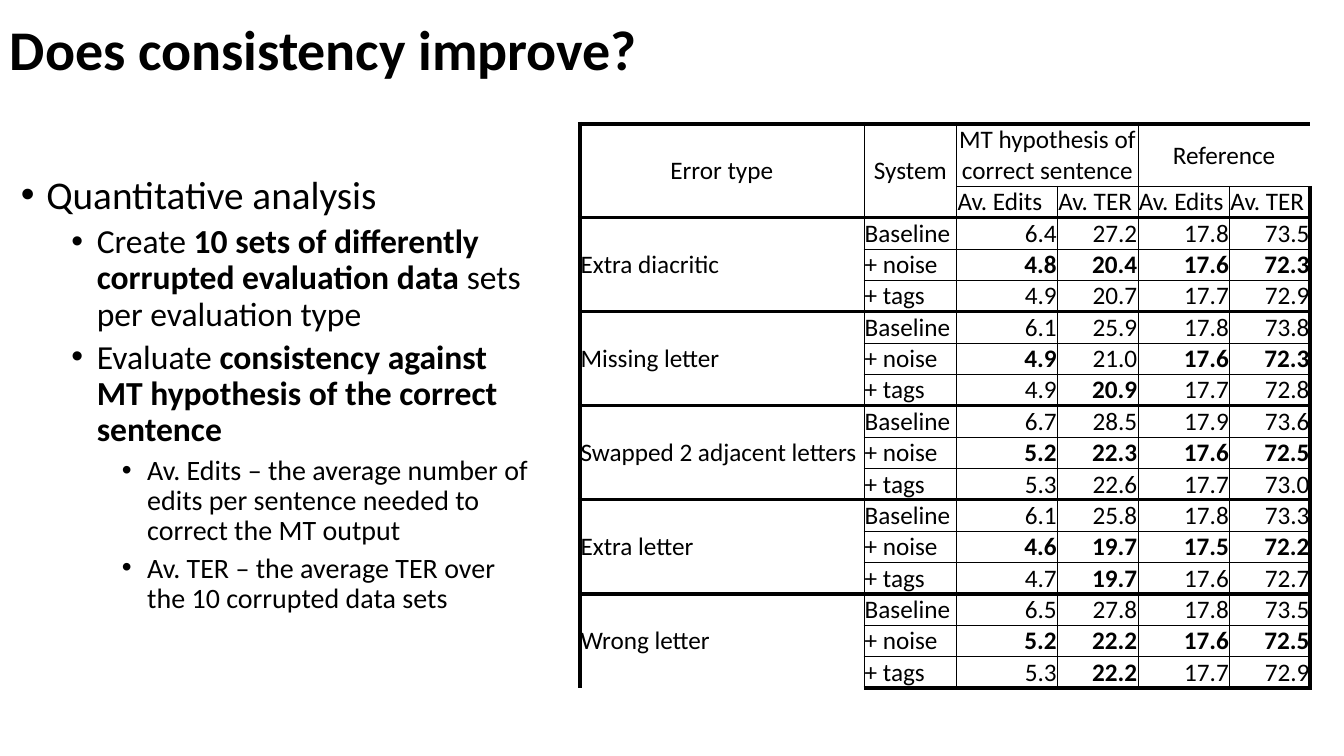
from typing import NamedTuple

from lxml import etree
from pptx import Presentation
from pptx.dml.color import RGBColor
from pptx.enum.text import MSO_ANCHOR, PP_ALIGN
from pptx.oxml.ns import qn
from pptx.util import Cm, Pt

BLACK = RGBColor(0x00, 0x00, 0x00)
FONT = "Calibri"
LEFT, CENTER, RIGHT = PP_ALIGN.LEFT, PP_ALIGN.CENTER, PP_ALIGN.RIGHT
TOP, MIDDLE, BOTTOM = MSO_ANCHOR.TOP, MSO_ANCHOR.MIDDLE, MSO_ANCHOR.BOTTOM
THIN, THICK = Pt(0.5), Pt(3)


class Span(NamedTuple):
    text: str
    bold: bool = False


class Bullet(NamedTuple):
    level: int
    spans: list[Span]


class BulletStyle(NamedTuple):
    size: int
    before: int
    margin: Cm


class Region(NamedTuple):
    """A table cell, possibly merged over several rows or columns."""
    row: int
    column: int
    span: Span
    align: PP_ALIGN = LEFT
    anchor: MSO_ANCHOR = MIDDLE
    rows: int = 1
    columns: int = 1


class Result(NamedTuple):
    system: str
    figures: list[str]
    best: tuple[int, ...] = ()


class ErrorType(NamedTuple):
    name: str
    results: list[Result]


HANGING = Cm(0.64)
BULLET_STYLES = [
    BulletStyle(28, 10, Cm(0.64)),
    BulletStyle(24, 5, Cm(1.91)),
    BulletStyle(20, 5, Cm(3.18)),
]
BULLETS = [
    Bullet(0, [Span("Quantitative analysis")]),
    Bullet(1, [Span("Create "),
               Span("10 sets of differently corrupted evaluation data ", True),
               Span("sets per evaluation type")]),
    Bullet(1, [Span("Evaluate "),
               Span("consistency against MT hypothesis of the correct sentence", True)]),
    Bullet(2, [Span("Av. Edits – the average number of edits per sentence "
                    "needed to correct the MT output")]),
    Bullet(2, [Span("Av. TER – the average TER over the 10 corrupted data sets")]),
]

ALL = (0, 1, 2, 3)
ERROR_TYPES = [
    ErrorType("Extra diacritic", [
        Result("Baseline", ["6.4", "27.2", "17.8", "73.5"]),
        Result("+ noise", ["4.8", "20.4", "17.6", "72.3"], ALL),
        Result("+ tags", ["4.9", "20.7", "17.7", "72.9"])]),
    ErrorType("Missing letter", [
        Result("Baseline", ["6.1", "25.9", "17.8", "73.8"]),
        Result("+ noise", ["4.9", "21.0", "17.6", "72.3"], (0, 2, 3)),
        Result("+ tags", ["4.9", "20.9", "17.7", "72.8"], (1,))]),
    ErrorType("Swapped 2 adjacent letters", [
        Result("Baseline", ["6.7", "28.5", "17.9", "73.6"]),
        Result("+ noise", ["5.2", "22.3", "17.6", "72.5"], ALL),
        Result("+ tags", ["5.3", "22.6", "17.7", "73.0"])]),
    ErrorType("Extra letter", [
        Result("Baseline", ["6.1", "25.8", "17.8", "73.3"]),
        Result("+ noise", ["4.6", "19.7", "17.5", "72.2"], ALL),
        Result("+ tags", ["4.7", "19.7", "17.6", "72.7"], (1,))]),
    ErrorType("Wrong letter", [
        Result("Baseline", ["6.5", "27.8", "17.8", "73.5"]),
        Result("+ noise", ["5.2", "22.2", "17.6", "72.5"], ALL),
        Result("+ tags", ["5.3", "22.2", "17.7", "72.9"], (1,))]),
]
HEADER_ROWS, GROUP_ROWS = 2, 3
ROW_COUNT = HEADER_ROWS + GROUP_ROWS * len(ERROR_TYPES)
COLUMN_WIDTHS = [Cm(7.16), Cm(2.34), Cm(2.54), Cm(2.03), Cm(2.31), Cm(2.03)]
HEADER_HEIGHT, ROW_HEIGHT = Cm(1.57), Cm(0.79)
CELL_INSET = Cm(0.02)
THICK_ROW_LINES = {0, *range(HEADER_ROWS, ROW_COUNT + 1, GROUP_ROWS)}
THICK_COLUMN_LINES = {0, len(COLUMN_WIDTHS)}


def add_span(para, span: Span, size: int) -> None:
    run = para.add_run()
    run.text = span.text
    run.font.name, run.font.size, run.font.bold = FONT, Pt(size), span.bold
    run.font.color.rgb = BLACK


def add_frame(page, left: Cm, top: Cm, width: Cm, height: Cm, anchor: MSO_ANCHOR):
    frame = page.shapes.add_textbox(left, top, width, height).text_frame
    frame.word_wrap = True
    frame.vertical_anchor = anchor
    return frame


def add_bullet(para, bullet: Bullet) -> None:
    style = BULLET_STYLES[bullet.level]
    para.level = bullet.level
    para.line_spacing = 0.9
    para.space_before = Pt(style.before)
    properties = para._p.get_or_add_pPr()
    properties.set("marL", str(style.margin))
    properties.set("indent", str(-HANGING))
    etree.SubElement(properties, qn("a:buFont"), typeface="Arial")
    etree.SubElement(properties, qn("a:buChar"), char="•")
    for span in bullet.spans:
        add_span(para, span, style.size)


def add_border(cell, side: str, width: int) -> None:
    line = etree.SubElement(cell._tc.get_or_add_tcPr(), qn(f"a:ln{side}"), w=str(width))
    if width:
        fill = etree.SubElement(line, qn("a:solidFill"))
        etree.SubElement(fill, qn("a:srgbClr"), val=str(BLACK))
    else:
        etree.SubElement(line, qn("a:noFill"))


def line_width(line: int, edges: tuple[int, int], thick_lines: set[int]) -> int:
    if line not in edges:
        return 0
    return THICK if line in thick_lines else THIN


def draw_region(table, region: Region) -> None:
    row_edges = (region.row, region.row + region.rows)
    column_edges = (region.column, region.column + region.columns)
    for row in range(*row_edges):
        for column in range(*column_edges):
            cell = table.cell(row, column)
            for side, line in (("L", column), ("R", column + 1)):
                add_border(cell, side, line_width(line, column_edges, THICK_COLUMN_LINES))
            for side, line in (("T", row), ("B", row + 1)):
                add_border(cell, side, line_width(line, row_edges, THICK_ROW_LINES))
            cell.fill.background()
            cell.margin_left = cell.margin_right = cell.margin_top = CELL_INSET
            cell.margin_bottom = 0
            cell.text_frame.paragraphs[0].font.size = Pt(18)
    origin = table.cell(region.row, region.column)
    if region.rows * region.columns > 1:
        origin.merge(table.cell(row_edges[1] - 1, column_edges[1] - 1))
    origin.vertical_anchor = region.anchor
    para = origin.text_frame.paragraphs[0]
    para.alignment = region.align
    add_span(para, region.span, 18)


def table_regions() -> list[Region]:
    regions = [
        Region(0, 0, Span("Error type"), CENTER, rows=2),
        Region(0, 1, Span("System"), CENTER, rows=2),
        Region(0, 2, Span("MT hypothesis of correct sentence"), CENTER, columns=2),
        Region(0, 4, Span("Reference"), CENTER, columns=2),
    ]
    for column, measure in enumerate(["Av. Edits", "Av. TER"] * 2, start=2):
        regions.append(Region(1, column, Span(measure)))
    for group, error in enumerate(ERROR_TYPES):
        first = HEADER_ROWS + group * GROUP_ROWS
        regions.append(Region(first, 0, Span(error.name), rows=GROUP_ROWS))
        for row, result in enumerate(error.results, start=first):
            regions.append(Region(row, 1, Span(result.system), LEFT, BOTTOM))
            for index, figure in enumerate(result.figures):
                span = Span(figure, index in result.best)
                regions.append(Region(row, index + 2, span, RIGHT, BOTTOM))
    return regions


deck = Presentation()
deck.slide_width, deck.slide_height = Cm(33.87), Cm(19.05)
page = deck.slides.add_slide(deck.slide_layouts[6])

# Title
title = add_frame(page, Cm(0), Cm(0), Cm(29.21), Cm(2.64), MIDDLE).paragraphs[0]
title.line_spacing = 0.9
add_span(title, Span("Does consistency improve?", True), 40)

# Bullet list
body = add_frame(page, Cm(0.28), Cm(4.29), Cm(13.49), Cm(14.2), TOP)
for number, bullet in enumerate(BULLETS):
    add_bullet(body.add_paragraph() if number else body.paragraphs[0], bullet)

# Results table
table = page.shapes.add_table(
    ROW_COUNT, len(COLUMN_WIDTHS), Cm(14.61), Cm(3.12), sum(COLUMN_WIDTHS),
    HEADER_HEIGHT + ROW_HEIGHT * (ROW_COUNT - 1)).table
table.first_row = table.horz_banding = False
for column, width in zip(table.columns, COLUMN_WIDTHS):
    column.width = width
for number, row in enumerate(table.rows):
    row.height = ROW_HEIGHT if number else HEADER_HEIGHT
for region in table_regions():
    draw_region(table, region)

deck.save("out.pptx")
